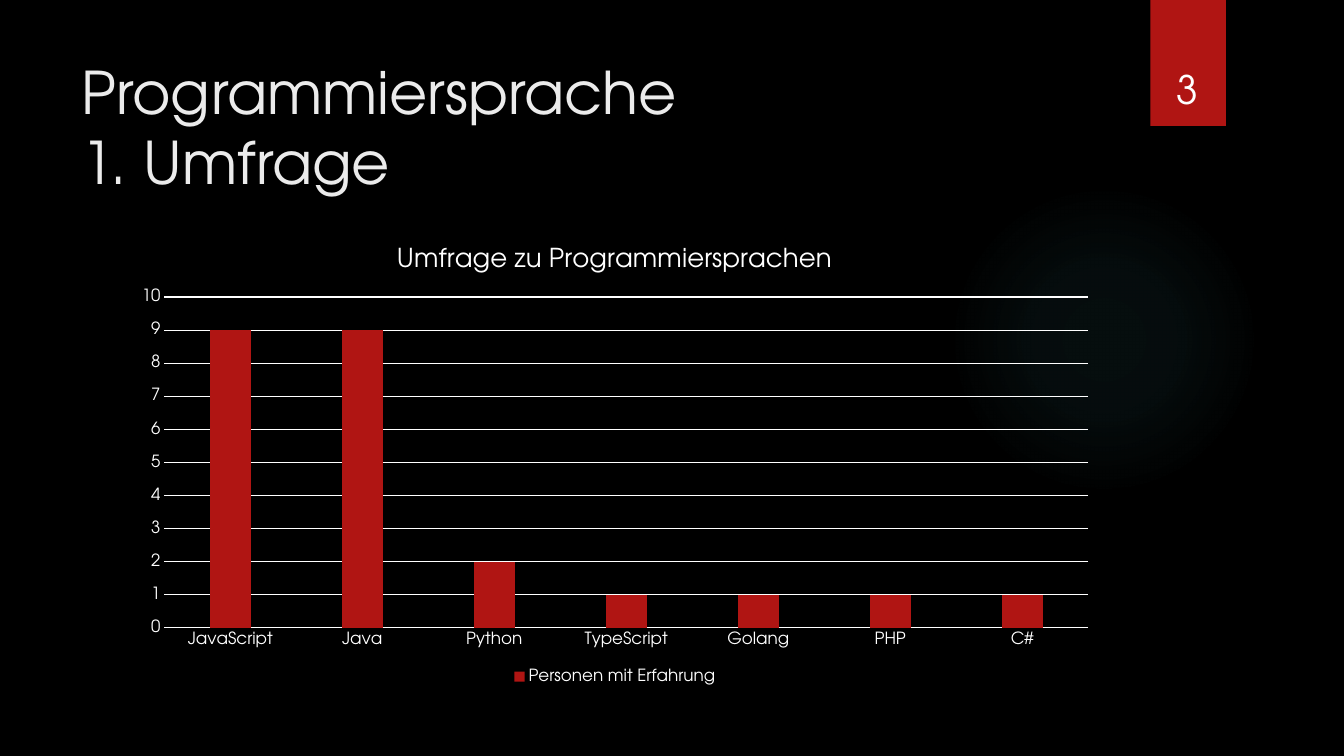
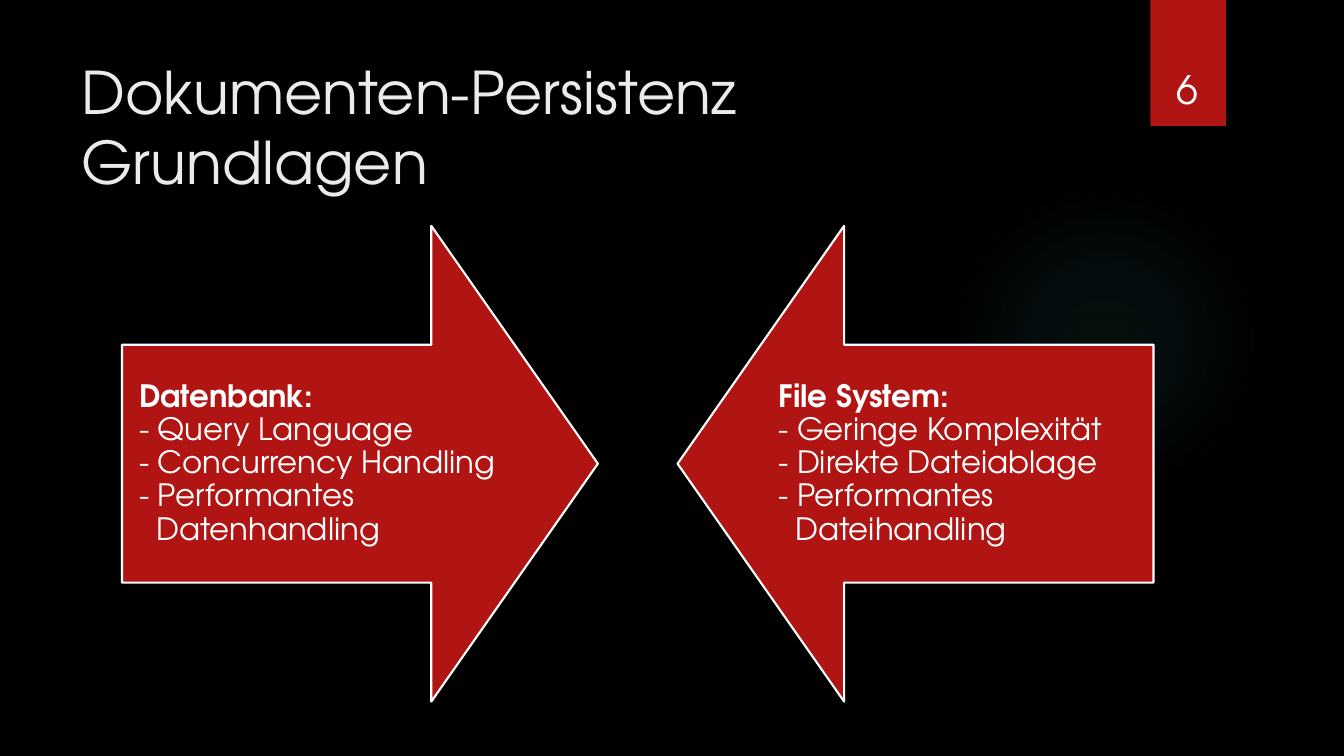
import pptx
import pptx.chart.data
import pptx.dml.color
import pptx.enum.chart
import pptx.enum.shapes
import pptx.enum.text
import pptx.oxml
import pptx.oxml.ns
import pptx.util

Inches, Pt = pptx.util.Inches, pptx.util.Pt
SHAPE = pptx.enum.shapes.MSO_SHAPE
ANCHOR = pptx.enum.text.MSO_ANCHOR
ALIGN = pptx.enum.text.PP_ALIGN
CHART = pptx.enum.chart

FONT = "TeX Gyre Adventor"
COLORS = {"background": "000000", "red": "B01513", "white": "FFFFFF",
          "title": "EBEBEB", "glow": "50B9C1"}
GLOW_STOPS = [(0, 7), (36, 6), (69, 0)]

SURVEY = {
    "heading": "Programmiersprache\v1. Umfrage",
    "number": 3,
    "chart_title": "Umfrage zu Programmiersprachen",
    "series": "Personen mit Erfahrung",
    "counts": {"JavaScript": 9, "Java": 9, "Python": 2, "TypeScript": 1,
               "Golang": 1, "PHP": 1, "C#": 1},
}
STORAGE = {
    "heading": "Dokumenten-Persistenz\vGrundlagen",
    "number": 6,
    "arrows": [
        (SHAPE.RIGHT_ARROW, 1.21, 1.21, "Datenbank:",
         ["Query Language", "Concurrency Handling", "Performantes\vDatenhandling"]),
        (SHAPE.LEFT_ARROW, 6.72, 7.55, "File System:",
         ["Geringe Komplexität", "Direkte Dateiablage", "Performantes\vDateihandling"]),
    ],
}
ARROW_TOP, ARROW_SIZE = 2.24, 4.72
TEXT_WIDTH, TEXT_INSET, HANG = 3.9, 0.17, 0.17
PLOT = {"x": 0.043, "y": 0.154, "w": 0.937, "h": 0.715}


def rgb(name):
    return pptx.dml.color.RGBColor.from_string(COLORS[name])


def set_all(obj, **values):
    for name, value in values.items():
        setattr(obj, name, value)


def style_font(font, size, color="white", bold=False):
    set_all(font, name=FONT, size=Pt(size), bold=bold)
    font.color.rgb = rgb(color)


def add_shape(s, kind, box, fill=None, line=None):
    sp = s.shapes.add_shape(kind, *map(Inches, box))
    sp.shadow.inherit = False
    if fill:
        sp.fill.solid()
        sp.fill.fore_color.rgb = rgb(fill)
    if line:
        sp.line.color.rgb = rgb(line)
        sp.line.width = Pt(1.5)
    else:
        sp.line.fill.background()
    return sp


def add_text(s, box, paragraphs, size, color="white", inset=None, **frame):
    tf = s.shapes.add_textbox(*map(Inches, box)).text_frame
    set_all(tf, word_wrap=True, **frame)
    if inset:
        for side in ("left", "top", "right", "bottom"):
            setattr(tf, "margin_" + side, Inches(inset))
    for i, (text, bold, form) in enumerate(paragraphs):
        p = tf.add_paragraph() if i else tf.paragraphs[0]
        p.text = text
        set_all(p, **form)
        for r in p.runs:
            style_font(r.font, size, color, bold)
    return tf


def add_glow(s):
    sp = add_shape(s, SHAPE.OVAL, (9.41, 1.83, 3.08, 3.08))
    stops = "".join(
        f'<a:gs pos="{pos * 1000}"><a:srgbClr val="{COLORS["glow"]}">'
        f'<a:alpha val="{alpha * 1000}"/></a:srgbClr></a:gs>'
        for pos, alpha in GLOW_STOPS)
    grad = pptx.oxml.parse_xml(
        f'<a:gradFill {pptx.oxml.ns.nsdecls("a")}><a:gsLst>{stops}</a:gsLst>'
        '<a:path path="circle"><a:fillToRect l="50000" t="50000" r="50000" b="50000"/>'
        '</a:path></a:gradFill>')
    sp.element.spPr.find(pptx.oxml.ns.qn("a:prstGeom")).addnext(grad)


def add_slide(prs, content):
    s = prs.slides.add_slide(prs.slide_layouts[6])
    s.background.fill.solid()
    s.background.fill.fore_color.rgb = rgb("background")
    add_glow(s)
    add_shape(s, SHAPE.RECTANGLE, (11.41, 0, 0.75, 1.25), "red")
    add_text(s, (0.71, 0.5, 10.29, 1.53), [(content["heading"], False, {})], 42, "title")
    add_text(s, (11.32, 0.32, 0.92, 0.84),
             [(str(content["number"]), False, {"alignment": ALIGN.CENTER})], 28,
             vertical_anchor=ANCHOR.BOTTOM)
    return s


def add_survey_chart(s, content):
    data = pptx.chart.data.CategoryChartData()
    data.categories = list(content["counts"])
    data.add_series(content["series"], list(content["counts"].values()))
    chart = s.shapes.add_chart(CHART.XL_CHART_TYPE.COLUMN_CLUSTERED,
                               *map(Inches, (1.21, 2.24, 9.78, 4.59)), data).chart
    style_font(chart.font, 12)
    chart.has_title = True
    chart.chart_title.include_in_layout = False
    p = chart.chart_title.text_frame.paragraphs[0]
    p.text = content["chart_title"]
    style_font(p.runs[0].font, 18.6)

    chart.has_legend = True
    set_all(chart.legend, position=CHART.XL_LEGEND_POSITION.BOTTOM, include_in_layout=False)
    style_font(chart.legend.font, 12)

    for axis in (chart.category_axis, chart.value_axis):
        set_all(axis, major_tick_mark=CHART.XL_TICK_MARK.NONE,
                minor_tick_mark=CHART.XL_TICK_MARK.NONE)
        style_font(axis.tick_labels.font, 12)
    values = chart.value_axis
    set_all(values, minimum_scale=0, maximum_scale=10, major_unit=1, has_major_gridlines=True)
    values.format.line.fill.background()
    for line in (values.major_gridlines.format.line, chart.category_axis.format.line):
        line.color.rgb = rgb("white")
        line.width = Pt(0.75)

    plot = chart.plots[0]
    set_all(plot, gap_width=219, overlap=-27, vary_by_categories=False)
    fill = plot.series[0].format.fill
    fill.solid()
    fill.fore_color.rgb = rgb("red")

    area = chart.element.chart.plotArea
    for old in area.findall(pptx.oxml.ns.qn("c:layout")):
        area.remove(old)
    modes = '<c:xMode val="edge"/><c:yMode val="edge"/>'
    sizes = "".join(f'<c:{key} val="{value}"/>' for key, value in PLOT.items())
    area.insert(0, pptx.oxml.parse_xml(
        f'<c:layout {pptx.oxml.ns.nsdecls("c")}><c:manualLayout>'
        f'<c:layoutTarget val="inner"/>{modes}{sizes}</c:manualLayout></c:layout>'))


def add_arrows(s, content):
    for kind, left, text_left, head, items in content["arrows"]:
        arrow = add_shape(s, kind, (left, ARROW_TOP, ARROW_SIZE, ARROW_SIZE), "red", "white")
        arrow.adjustments[0], arrow.adjustments[1] = 0.5, 0.35
        form = {"line_spacing": 0.9}
        paragraphs = [(head, True, form)] + [("- " + item, False, form) for item in items]
        box = (text_left, ARROW_TOP + ARROW_SIZE / 4, TEXT_WIDTH, ARROW_SIZE / 2)
        tf = add_text(s, box, paragraphs, 22, inset=TEXT_INSET, vertical_anchor=ANCHOR.MIDDLE)
        for p in tf.paragraphs[1:]:
            pPr = p._p.get_or_add_pPr()
            pPr.set("marL", str(Inches(HANG)))
            pPr.set("indent", str(-Inches(HANG)))


def main():
    prs = pptx.Presentation()
    set_all(prs, slide_width=Inches(13.33), slide_height=Inches(7.5))
    add_survey_chart(add_slide(prs, SURVEY), SURVEY)
    add_arrows(add_slide(prs, STORAGE), STORAGE)
    prs.save("out.pptx")


if __name__ == "__main__":
    main()
